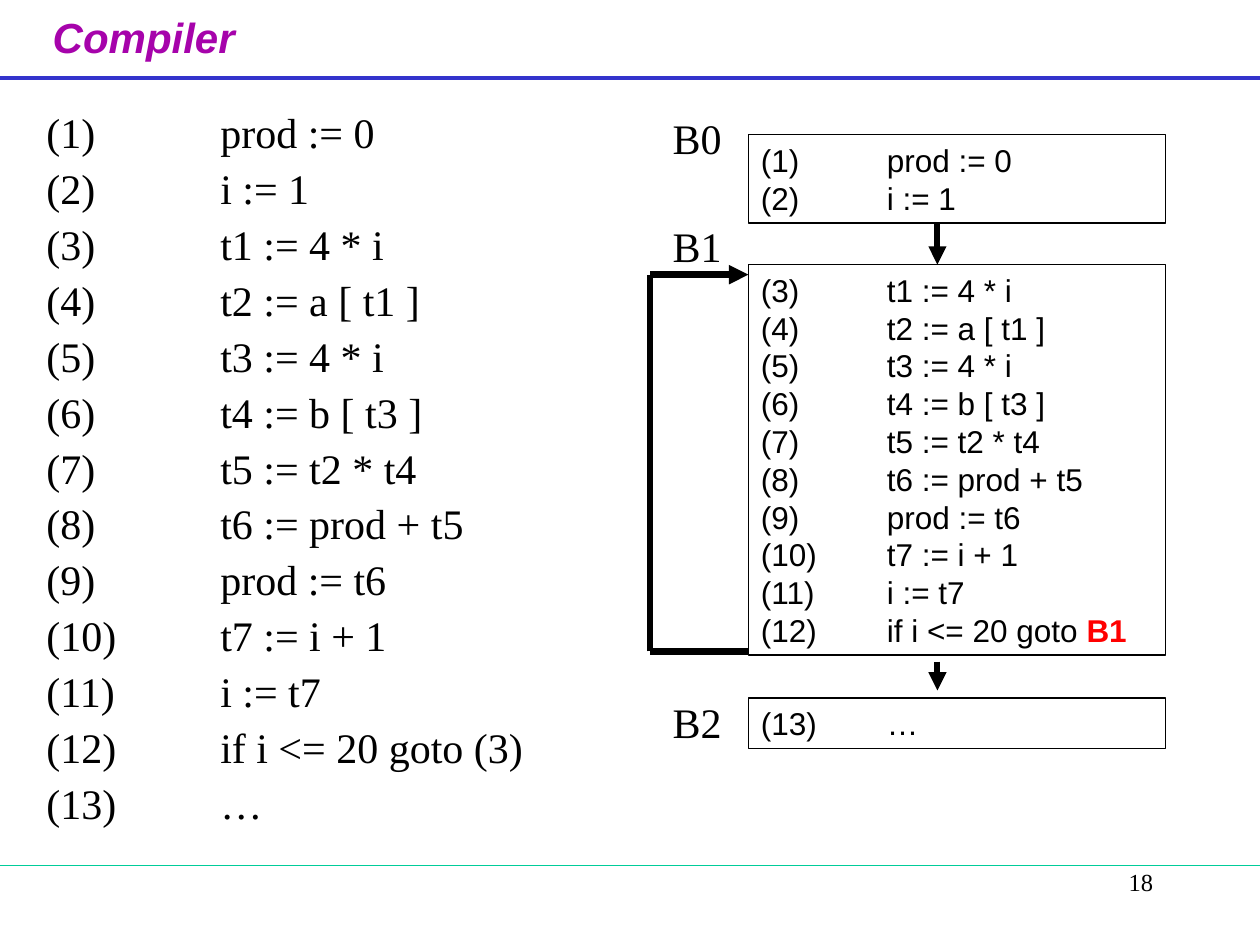
from pptx import Presentation, util as u
from pptx.dml.color import RGBColor
from pptx.enum import shapes, text
from pptx.oxml.ns import qn
from lxml import etree

SERIF, SANS = "Times New Roman", "Arial"
BLACK = "000000"
LINE_RATIO = 1.2  # line height as a share of the font size

# Grid of the flow graph
BLOCK_X, BLOCK_W = 5.94, 3.31
LABEL_X = 5.24
LOOP_X, LOOP_TOP, LOOP_BOTTOM = 5.16, 2.18, 5.17
ARROW_X = 7.44

CODE = ["prod := 0", "i := 1", "t1 := 4 * i", "t2 := a [ t1 ]", "t3 := 4 * i",
        "t4 := b [ t3 ]", "t5 := t2 * t4", "t6 := prod + t5", "prod := t6",
        "t7 := i + 1", "i := t7", "if i <= 20 goto ", "…"]
JUMP = 12  # number of the jump statement

# Label, label top, block top, block height, first and last statement
BLOCKS = [("B0", 0.84, 1.07, 0.7, 1, 2),
          ("B1", 1.7, 2.1, 3.1, 3, 12),
          ("B2", 5.48, 5.54, 0.4, 13, 13)]


def rgb(value):
    return RGBColor.from_string(value)


def style(p, font, size, color=BLACK, spacing=1.0):
    p.line_spacing = u.Pt(round(size * LINE_RATIO * spacing, 1))
    p.font.name, p.font.size = font, u.Pt(size)
    p.font.color.rgb = rgb(color)


def add_text(s, x, y, w, h, words, font, size, color=BLACK):
    tf = s.shapes.add_textbox(*map(u.Inches, (x, y, w, h))).text_frame
    tf.word_wrap = True
    p = tf.paragraphs[0]
    p.text = words
    style(p, font, size, color)
    return p


def add_tab(p, position):
    tabs = etree.SubElement(p._p.get_or_add_pPr(), qn("a:tabLst"))
    etree.SubElement(tabs, qn("a:tab"), pos=str(u.Inches(position)), algn="l")


def add_code(tf, first, last, target, font, size, spacing=1.0, before=0, tab=1):
    """Write numbered statements; the jump target is returned as a run."""
    jump = None
    for n in range(first, last + 1):
        p = tf.paragraphs[0] if n == first else tf.add_paragraph()
        p.alignment = text.PP_ALIGN.LEFT
        p.add_run().text = f"({n})\t{CODE[n - 1]}"
        add_tab(p, tab)
        style(p, font, size, spacing=spacing)
        if n > first:
            p.space_before = u.Pt(before)
        if n == JUMP:
            jump = p.add_run()
            jump.text = target
    return jump


def add_listing(s):
    tf = s.shapes.add_textbox(*map(u.Inches, (0.27, 0.84, 4.33, 5.67))).text_frame
    tf.word_wrap = True
    add_code(tf, 1, len(CODE), "(3)", SERIF, 24, spacing=0.9, before=6, tab=1.38)


def add_block(s, top, height, first, last):
    sp = s.shapes.add_shape(shapes.MSO_SHAPE.RECTANGLE,
                            *map(u.Inches, (BLOCK_X, top, BLOCK_W, height)))
    sp.shadow.inherit = False
    sp.fill.background()
    sp.line.color.rgb = rgb(BLACK)
    sp.line.width = u.Pt(0.75)
    tf = sp.text_frame
    tf.word_wrap = True
    tf.vertical_anchor = text.MSO_ANCHOR.TOP
    r = add_code(tf, first, last, "B1", SANS, 18)
    if r:
        r.font.bold = True
        r.font.color.rgb = rgb("FF0000")


def add_line(s, start, end, width, color=BLACK, arrow=False):
    line = s.shapes.add_connector(shapes.MSO_CONNECTOR.STRAIGHT,
                                  *map(u.Inches, (*start, *end)))
    line.line.color.rgb = rgb(color)
    line.line.width = u.Pt(width)
    if arrow:
        etree.SubElement(line.line._get_or_add_ln(), qn("a:tailEnd"), type="triangle")
    etree.SubElement(line._element.spPr, qn("a:effectLst"))


def main():
    prs = Presentation()
    prs.slide_width, prs.slide_height = u.Inches(10), u.Inches(7.5)
    s = prs.slides.add_slide(prs.slide_layouts[6])

    # Header and footer
    title = add_text(s, 0.32, 0.04, 1.91, 0.62, "Compiler", SANS, 24, "A603AB")
    title.font.bold = title.font.italic = True
    add_line(s, (0, 0.62), (10, 0.62), 2.25, "3333CC")
    add_line(s, (0, 6.87), (10, 6.87), 0.75, "00CC99")
    number = add_text(s, 7.17, 6.83, 2.08, 0.5, "18", SERIF, 14)
    number.alignment = text.PP_ALIGN.RIGHT

    # Full listing on the left
    add_listing(s)

    # Basic blocks on the right
    for label, label_top, top, height, first, last in BLOCKS:
        add_block(s, top, height, first, last)
        add_text(s, LABEL_X, label_top, 0.71, 0.5, label, SERIF, 24)

    # Flow between blocks
    for top, bottom in ((1.78, 2.1), (5.25, 5.48)):
        add_line(s, (ARROW_X, top), (ARROW_X, bottom), 3.5, arrow=True)

    # Loop back to the head of B1
    loop = [(BLOCK_X, LOOP_BOTTOM), (LOOP_X, LOOP_BOTTOM),
            (LOOP_X, LOOP_TOP), (BLOCK_X, LOOP_TOP)]
    for start, end in zip(loop, loop[1:]):
        add_line(s, start, end, 3.75, arrow=end == loop[-1])

    prs.save("out.pptx")


if __name__ == "__main__":
    main()
